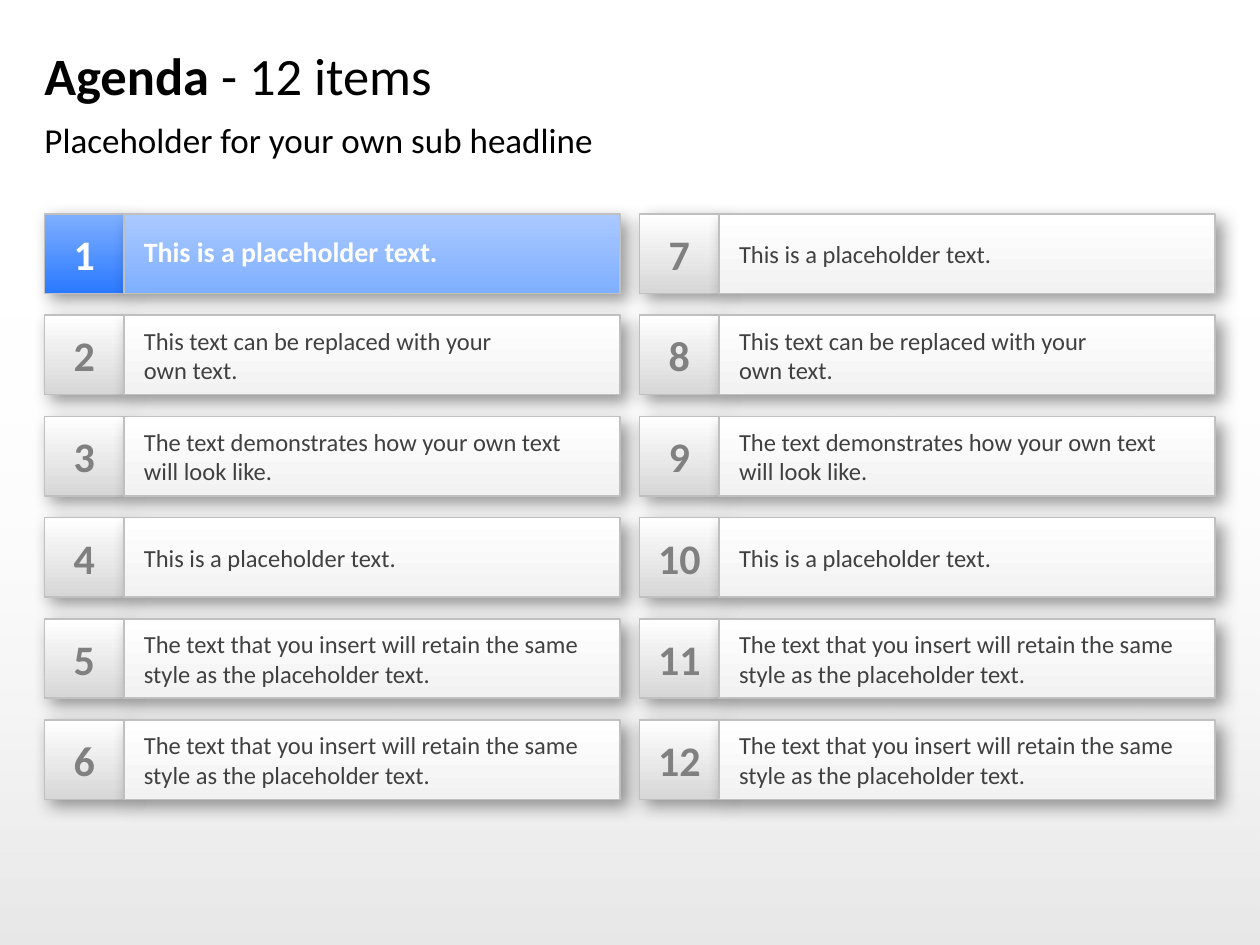
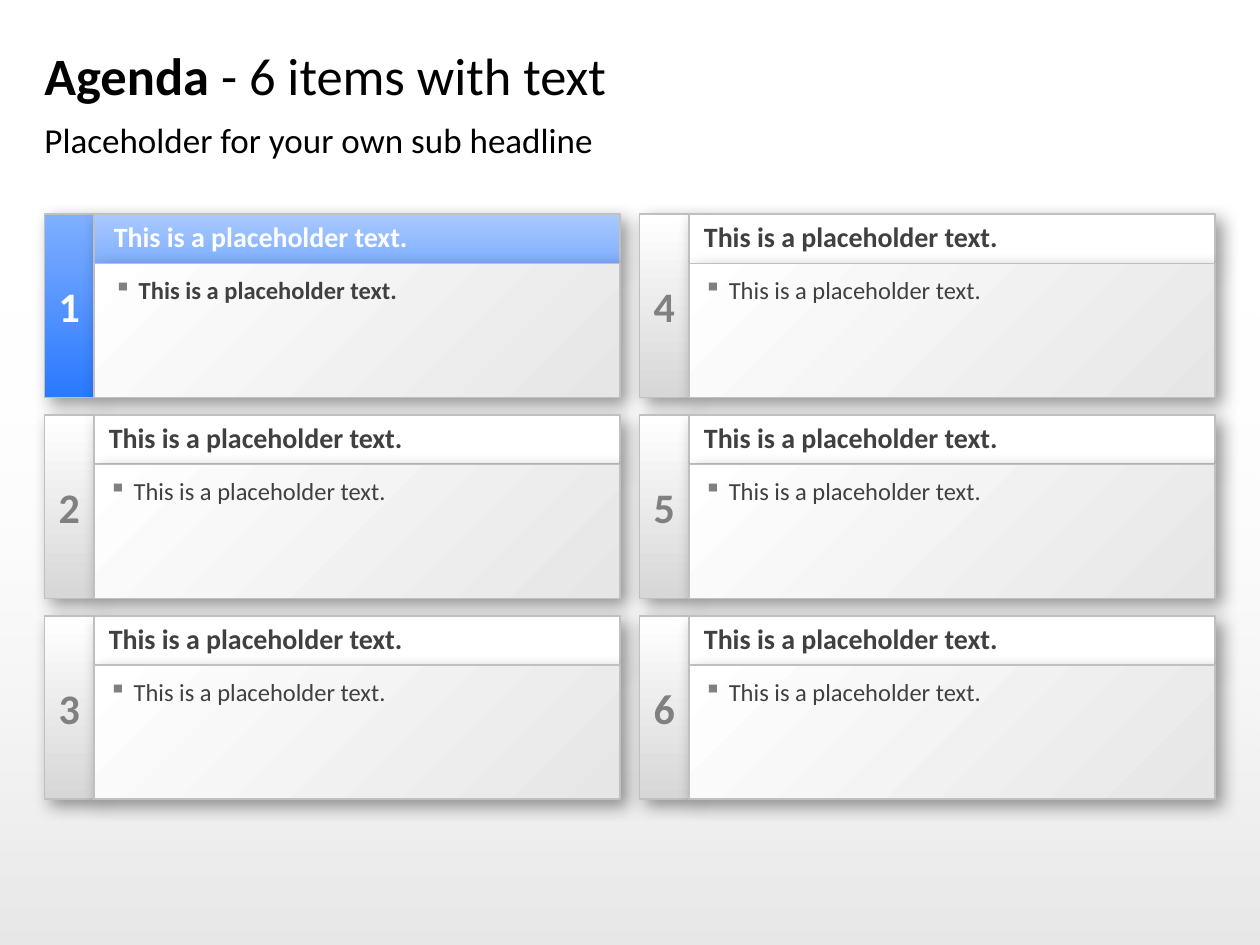
from dataclasses import dataclass

from lxml.etree import SubElement
from pptx import Presentation
from pptx.dml.color import RGBColor
from pptx.enum.shapes import MSO_SHAPE as Shape
from pptx.enum.text import MSO_ANCHOR as Anchor, MSO_AUTO_SIZE as AutoSize, PP_ALIGN as Align
from pptx.oxml.ns import qn
from pptx.util import Pt


@dataclass(frozen=True)
class Theme:
    """Colours, gradients (from, to, clockwise angle) and type sizes."""
    font: str = "Calibri"
    black: str = "000000"
    white: str = "FFFFFF"
    line: str = "C0C0C0"
    text: str = "404040"
    muted: str = "808080"
    backdrop: tuple = ("000000", "FFFFFF", 270)
    number: tuple = ("D7D7D7", "FFFFFF", 270)
    number_on: tuple = ("2A79FF", "7FAFFF", 270)
    label: tuple = ("FFFFFF", "F2F2F2", 90)
    label_on: tuple = ("AAC9FF", "7FAFFF", 90)
    detail: tuple = ("E6E6E6", "FFFFFF", 225)
    title_size: int = 30
    subtitle_size: int = 20
    number_size: int = 24
    heading_size: int = 16
    text_size: int = 14


T = Theme()
LEFT, TOP = 25.4, 122.3
CARD_W, COLUMN_PITCH = 328.9, 340.1
HEADER_W = 669
SUBTITLE = "Placeholder for your own sub headline"
SHORT = "This is a placeholder text."
RETAIN = "The text that you insert will retain the same style as the placeholder text."
TOPICS = [
    SHORT,
    "This text can be replaced with your \vown text.",
    "The text demonstrates how your own text will look like.",
    SHORT,
    RETAIN,
    RETAIN,
] * 2


def place(sp, x, y, w, h):
    """Set position and size in points."""
    sp.left, sp.top, sp.width, sp.height = Pt(x), Pt(y), Pt(w), Pt(h)


def paint(sp, fill):
    """Fill with a plain colour or a two-colour gradient."""
    if isinstance(fill, str):
        sp.fill.solid()
        sp.fill.fore_color.rgb = RGBColor.from_string(fill)
        return
    *colors, angle = fill
    sp.fill.gradient()
    sp.fill.gradient_angle = 360 - angle
    for stop, color in zip(sp.fill.gradient_stops, colors):
        stop.color.rgb = RGBColor.from_string(color)


def add_shadow(sp):
    """Give a shape the soft shadow towards the lower right."""
    sp.shadow.inherit = False
    effects = sp._element.spPr.find(qn("a:effectLst"))
    shadow = SubElement(effects, qn("a:outerShdw"), blurRad=str(Pt(10)), dist=str(Pt(5)),
                        dir=str(45 * 60000), algn="tl", rotWithShape="0")
    color = SubElement(shadow, qn("a:srgbClr"), val=T.black)
    SubElement(color, qn("a:alpha"), val="40000")


def style_text(sp, size, color, bold=False, insets=(0, 0, 0, 0), anchor=Anchor.MIDDLE,
               align=Align.LEFT, spacing=None):
    """Format the text frame and every run of a shape."""
    tf = sp.text_frame
    tf.word_wrap, tf.auto_size, tf.vertical_anchor = True, AutoSize.NONE, anchor
    tf.margin_left, tf.margin_top, tf.margin_right, tf.margin_bottom = map(Pt, insets)
    for p in tf.paragraphs:
        p.alignment, p.line_spacing, p.space_before = align, spacing, Pt(0)
        for r in p.runs:
            r.font.name, r.font.size, r.font.bold = T.font, Pt(size), bold
            r.font.color.rgb = RGBColor.from_string(color)


def add_bullet(p):
    """Give a paragraph a small square bullet with a hanging indent."""
    pPr = p._p.get_or_add_pPr()
    pPr.set("marL", str(Pt(14.2)))
    pPr.set("indent", str(Pt(-14.2)))
    color = SubElement(pPr, qn("a:buClr"))
    SubElement(color, qn("a:srgbClr"), val=T.muted)
    SubElement(pPr, qn("a:buChar"), char="▪")


def add_panel(group, x, y, w, h, fill, text):
    """Add an outlined, shadowed rectangle with text to a group."""
    sp = group.shapes.add_shape(Shape.RECTANGLE, Pt(x), Pt(y), Pt(w), Pt(h))
    paint(sp, fill)
    sp.line.color.rgb = RGBColor.from_string(T.line)
    sp.line.width = Pt(1)
    add_shadow(sp)
    sp.text_frame.text = text
    return sp


def add_number(group, x, y, w, h, number, active):
    """Add the number panel of an agenda entry."""
    sp = add_panel(group, x, y, w, h, T.number_on if active else T.number, str(number))
    style_text(sp, T.number_size, T.white if active else T.muted, True, align=Align.CENTER)


def add_active_label(group, x, y, w, h, text):
    """Add the highlighted label of the current entry."""
    sp = add_panel(group, x, y, w, h, T.label_on, text)
    style_text(sp, T.heading_size, T.white, True, (11.4, 0, 0, 0), spacing=0.9)


def add_row(s, x, y, number, text, active):
    """Add a one-line agenda entry: number and label."""
    side = 45.4
    group = s.shapes.add_group_shape()
    add_number(group, x, y, side, side, number, active)
    label = (x + side, y, CARD_W - side, side)
    if active:
        add_active_label(group, *label, text)
    else:
        sp = add_panel(group, *label, T.label, text)
        style_text(sp, T.text_size, T.text, insets=(11.4, 2.8, 17, 2.8))


def add_card(s, x, y, number, text, active):
    """Add an agenda entry with number, heading and bulleted detail."""
    band, detail_h = 28.3, 76.6
    group = s.shapes.add_group_shape()
    add_number(group, x, y, band, band + detail_h, number, active)
    heading = (x + band, y, CARD_W - band, band)
    if active:
        add_active_label(group, *heading, text)
    else:
        sp = add_panel(group, *heading, T.white, text)
        style_text(sp, T.heading_size, T.text, True, (8.5, 2.8, 17, 2.8), spacing=0.9)
    sp = add_panel(group, x + band, y + band, CARD_W - band, detail_h, T.detail, text)
    add_bullet(sp.text_frame.paragraphs[0])
    style_text(sp, T.text_size, T.text, active, (11.4 if active else 8.5, 8.5, 17, 8.5),
               Anchor.TOP, spacing=0.9)


def add_entries(s, add_entry, texts, pitch):
    """Lay entries out in two columns, filled from top to bottom."""
    rows = len(texts) // 2
    for i, text in enumerate(texts):
        column, row = divmod(i, rows)
        add_entry(s, LEFT + column * COLUMN_PITCH, TOP + row * pitch, i + 1, text, i == 0)


def add_agenda_slide(prs, topic):
    """Add a slide with the agenda title and the sub headline."""
    s = prs.slides.add_slide(prs.slide_layouts[1])
    title, subtitle = s.shapes.title, s.placeholders[1]
    place(title, LEFT, 18.7, HEADER_W, 48.2)
    title.text_frame.text = "Agenda "
    title.text_frame.paragraphs[0].add_run().text = topic
    style_text(title, T.title_size, T.black)
    title.text_frame.paragraphs[0].runs[0].font.bold = True
    place(subtitle, LEFT, 67.5, HEADER_W, 26.6)
    subtitle.text_frame.text = SUBTITLE
    pPr = subtitle.text_frame.paragraphs[0]._p.get_or_add_pPr()
    pPr.set("marL", "0")
    pPr.set("indent", "0")
    SubElement(pPr, qn("a:buNone"))
    style_text(subtitle, T.subtitle_size, T.black, anchor=Anchor.TOP)
    return s


def add_backdrop(prs, s):
    """Build the grey fade on a slide and move it to the back of the master."""
    sp = s.shapes.add_shape(Shape.RECTANGLE, 0, Pt(159), prs.slide_width, Pt(381))
    paint(sp, T.backdrop)
    for color, alpha in zip(sp._element.spPr.iter(qn("a:srgbClr")), ("10000", "0")):
        SubElement(color, qn("a:alpha"), val=alpha)
    sp.line.fill.background()
    sp.shadow.inherit = False
    sp._element.nvSpPr.cNvPr.set("id", "20")
    prs.slide_master.shapes._spTree.insert(2, sp._element)


def main():
    """Build both agenda slides."""
    prs = Presentation()
    prs.slide_width, prs.slide_height = Pt(720), Pt(540)
    s = add_agenda_slide(prs, "- 12 items")
    add_backdrop(prs, s)
    add_entries(s, add_row, TOPICS, 57.83)
    s = add_agenda_slide(prs, "- 6 items with text")
    add_entries(s, add_card, [SHORT] * 6, 114.8)
    prs.save("out.pptx")


if __name__ == "__main__":
    main()
